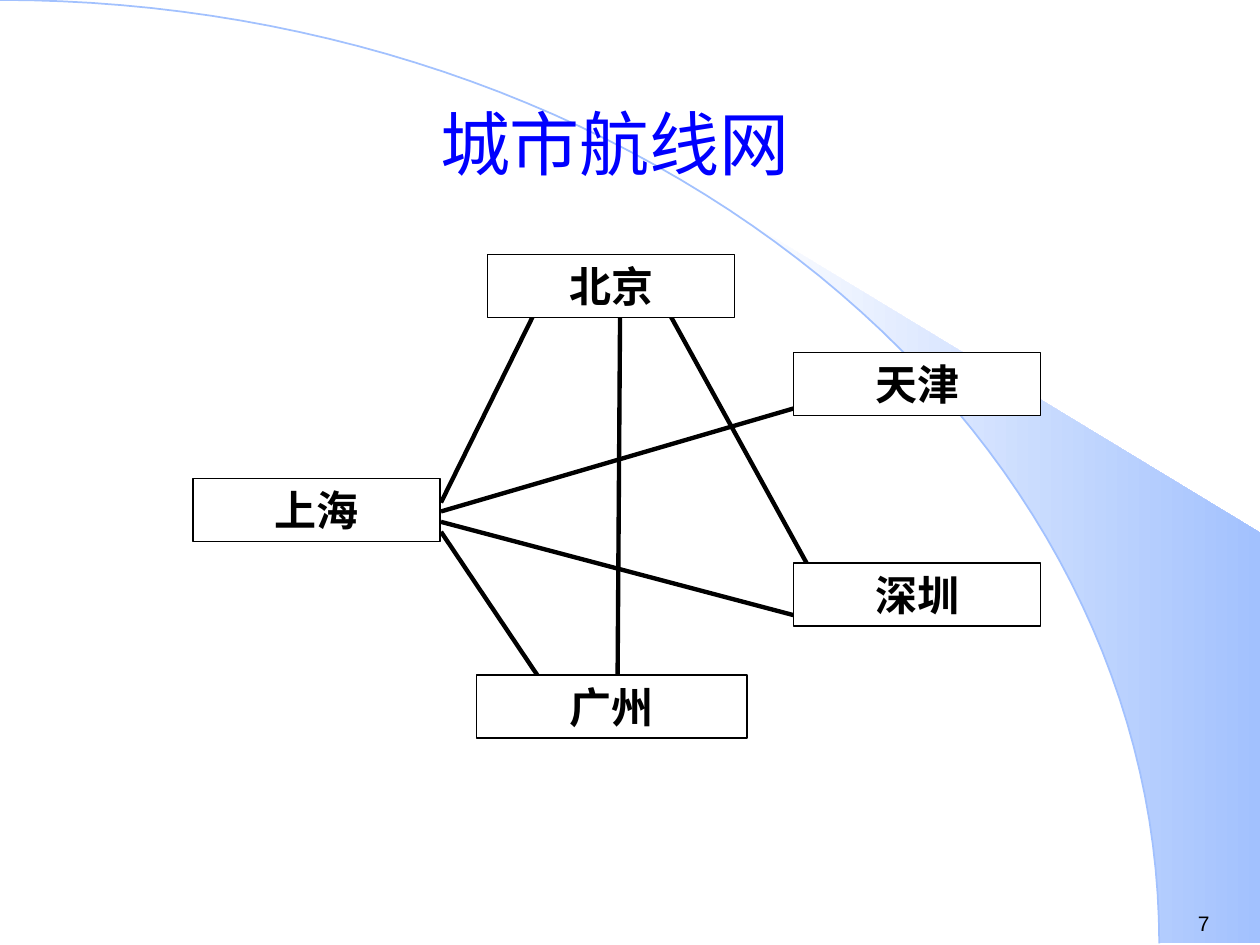
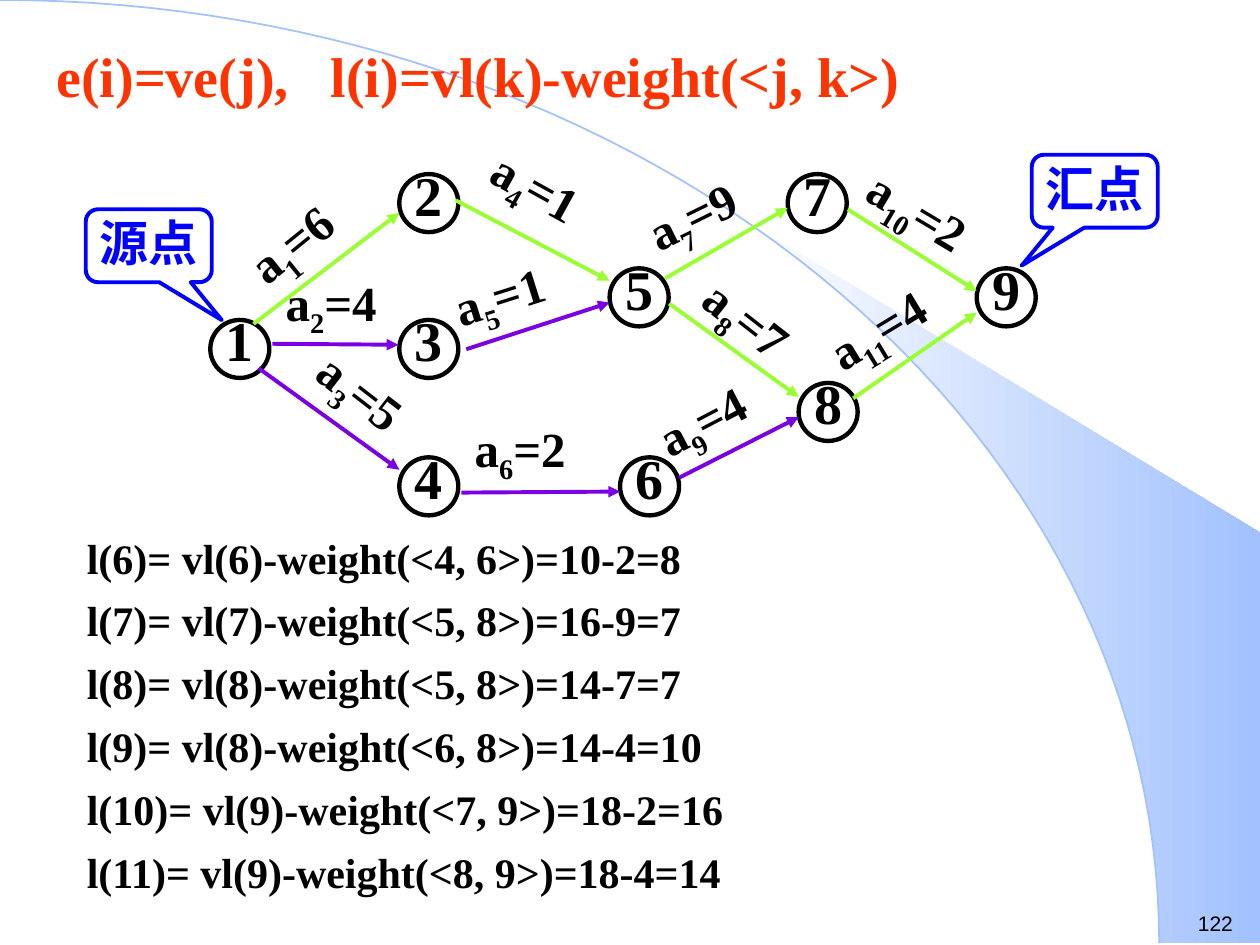
from math import asin, cos, pi, sin

from lxml import etree
from pptx import Presentation
from pptx.dml.color import RGBColor
from pptx.enum.shapes import MSO_CONNECTOR, MSO_SHAPE
from pptx.enum.text import MSO_ANCHOR, PP_ALIGN
from pptx.oxml.ns import qn
from pptx.util import Cm, Pt

COLORS = {
    "white": "FFFFFF", "black": "000000", "blue": "0000FF", "red": "FF3300",
    "sky": "A2C1FE", "purple": "7B00E4", "green": "99FF33",
}
SERIF, SANS = "Times New Roman", "Arial"
WIDTH, HEIGHT = 25.4, 19.05
ARC_RX, ARC_RY = 23.37, 19.02


def rgb(name):
    return RGBColor.from_string(COLORS[name])


def arc_points(start, steps=60):
    """Points of the quarter ellipse from angle start to the bottom edge."""
    angles = [start + (pi / 2 - start) * i / steps for i in range(steps + 1)]
    return [(ARC_RX * sin(a), ARC_RY * (1 - cos(a))) for a in angles]


class Deck:
    def __init__(self):
        self.prs = Presentation()
        self.prs.slide_width, self.prs.slide_height = Cm(WIDTH), Cm(HEIGHT)
        self.s = None

    def new_slide(self, number):
        self.s = self.prs.slides.add_slide(self.prs.slide_layouts[6])
        wedge = self.outline(arc_points(asin(0.64)) + [(WIDTH, ARC_RY), (WIDTH, 10.74)], True)
        wedge.fill.gradient()
        wedge.fill.gradient_angle = 0
        for stop, color, pos in zip(wedge.fill.gradient_stops, ("white", "sky"), (0, 1)):
            stop.color.rgb, stop.position = rgb(color), pos
        wedge.line.fill.background()
        self.style(self.outline(arc_points(0), False), "sky", 1)
        self.text(23.9, 18.24, 1.5, 0.76, [number], 12, font=SANS, bold=False)

    def outline(self, points, close):
        (x, y), *rest = [(Cm(x), Cm(y)) for x, y in points]
        builder = self.s.shapes.build_freeform(x, y)
        builder.add_line_segments(rest, close=close)
        sp = builder.convert_to_shape()
        sp.shadow.inherit = False
        return sp

    def style(self, sp, line, width, fill=None):
        sp.shadow.inherit = False
        sp.line.color.rgb, sp.line.width = rgb(line), Pt(width)
        if fill:
            sp.fill.solid()
            sp.fill.fore_color.rgb = rgb(fill)
        else:
            sp.fill.background()

    def format(self, p, size, color, align, font=SERIF, bold=True):
        p.alignment = align
        p.font.name, p.font.size, p.font.bold = font, Pt(size), bold
        p.font.color.rgb = rgb(color)

    def text(self, x, y, w, h, lines, size, color="black", align=PP_ALIGN.LEFT,
             font=SERIF, bold=True, anchor=MSO_ANCHOR.TOP, spacing=None, before=0, tab=None):
        sp = self.s.shapes.add_textbox(Cm(x), Cm(y), Cm(w), Cm(h))
        tf = sp.text_frame
        tf.word_wrap, tf.vertical_anchor = True, anchor
        for i, line in enumerate(lines):
            p = tf.add_paragraph() if i else tf.paragraphs[0]
            p.add_run().text = line
            if spacing:
                p.line_spacing = spacing
            if i and before:
                p.space_before = Pt(before)
            if tab:
                tabs = etree.SubElement(p._p.get_or_add_pPr(), qn("a:tabLst"))
                etree.SubElement(tabs, qn("a:tab"), pos=str(Cm(tab)), algn="l")
            self.format(p, size, color, align, font, bold)

    def box(self, kind, x, y, w, h, label, size, line="black", width=2.5, fill=None,
            anchor=MSO_ANCHOR.MIDDLE, bottom=0):
        """Preset shape with a centred label; bottom is the lower text margin."""
        sp = self.s.shapes.add_shape(kind, Cm(x), Cm(y), Cm(w), Cm(h))
        self.style(sp, line, width, fill)
        tf = sp.text_frame
        tf.margin_left = tf.margin_right = tf.margin_top = 0
        tf.margin_bottom = Cm(bottom)
        tf.word_wrap, tf.vertical_anchor = False, anchor
        p = tf.paragraphs[0]
        p.add_run().text = label
        self.format(p, size, line, PP_ALIGN.CENTER)
        return sp

    def callout(self, x, y, label, tip_x):
        sp = self.box(MSO_SHAPE.ROUNDED_RECTANGULAR_CALLOUT, x, y, 2.54, 1.47, label, 28,
                      "blue", 2.25, anchor=MSO_ANCHOR.TOP)
        sp.adjustments[0], sp.adjustments[1] = tip_x, 1.02

    def line(self, start, end, color="black", width=2.5, arrow=False):
        c = self.s.shapes.add_connector(MSO_CONNECTOR.STRAIGHT, *map(Cm, start + end))
        c.line.color.rgb, c.line.width = rgb(color), Pt(width)
        if arrow:
            etree.SubElement(c.line._get_or_add_ln(), qn("a:tailEnd"), type="triangle")
        etree.SubElement(c._element.spPr, qn("a:effectLst"))

    def weight_label(self, x, y, index, weight, angle):
        sp = self.s.shapes.add_textbox(Cm(x), Cm(y), Cm(3.61), Cm(1.6))
        sp.rotation = angle
        sp.text_frame.word_wrap = True
        p = sp.text_frame.paragraphs[0]
        for part in ("a", str(index), f"={weight}"):
            r = p.add_run()
            r.text = part
            if part == str(index):
                r._r.get_or_add_rPr().set("baseline", "-25000")
        self.format(p, 28, "black", PP_ALIGN.LEFT)


def air_routes(deck):
    deck.new_slide("7")
    deck.text(2.11, 1.93, 20.57, 1.9, ["城市航线网"], 40, "blue", PP_ALIGN.CENTER,
              bold=False, anchor=MSO_ANCHOR.MIDDLE)
    routes = [
        ((10.77, 6.32), (8.89, 10.13)), ((8.89, 10.72), (11.02, 13.89)),
        ((12.5, 6.32), (12.45, 13.61)), ((8.89, 10.31), (16.97, 7.95)),
        ((8.89, 10.52), (16.26, 12.47)), ((13.49, 6.32), (16.26, 11.35)),
    ]
    for start, end in routes:
        deck.line(start, end)
    cities = [
        ("天津", 16, 7.11, 4.98), ("北京", 9.83, 5.13, 4.98), ("上海", 3.89, 9.65, 4.98),
        ("广州", 9.6, 13.61, 5.46), ("深圳", 16, 11.35, 4.98),
    ]
    for city, x, y, w in cities:
        deck.box(MSO_SHAPE.RECTANGLE, x, y, w, 1.27, city, 24, width=0.75, fill="white")


def latest_start(deck):
    deck.new_slide("122")
    deck.text(1.5, 10.5, 15.19, 7.49, [
        "l(6)= vl(6)-weight(<4, 6>)=10-2=8",
        "l(7)= vl(7)-weight(<5, 8>)=16-9=7",
        "l(8)= vl(8)-weight(<5, 8>)=14-7=7",
        "l(9)= vl(8)-weight(<6, 8>)=14-4=10",
        "l(10)= vl(9)-weight(<7, 9>)=18-2=16",
        "l(11)= vl(9)-weight(<8, 9>)=18-4=14",
    ], 24, spacing=1.1, before=4.25)
    deck.text(0.89, 0.71, 18.39, 1.63, ["e(i)=ve(j),\tl(i)=vl(k)-weight(<j, k>)"],
              32, "red", tab=5.53)
    events = [
        (4.24, 6.45), (8.05, 3.51), (8.05, 6.45), (8.05, 9.22), (12.29, 5.41),
        (12.5, 9.22), (15.88, 3.51), (16.1, 7.72), (19.69, 5.41),
    ]
    for number, (x, y) in enumerate(events, 1):
        deck.box(MSO_SHAPE.OVAL, x, y, 1.19, 1.17, str(number), 32, bottom=0.38)
    # weight, arrow start, arrow end, colour, label position, label angle
    activities = [
        (6, (5.11, 6.53), (8.05, 4.29), "green", (4.6, 3.76), 320.9),
        (4, (5.49, 6.93), (8.03, 6.95), "purple", (5.51, 5.36), 0),
        (5, (5.21, 7.42), (8.05, 9.47), "purple", (5.94, 7.54), 37.7),
        (1, (9.19, 4.04), (12.29, 5.66), "green", (9.53, 3.33), 28.9),
        (1, (9.4, 7.04), (12.29, 6.1), "purple", (8.89, 5.03), 342.4),
        (2, (9.3, 9.93), (12.5, 9.91), "purple", (9.32, 8.31), 0),
        (9, (13.41, 5.61), (15.88, 4.19), "green", (12.75, 3.33), 333.8),
        (7, (13.49, 6.12), (16.1, 8), "green", (13.72, 6.07), 38),
        (4, (13.69, 9.63), (16.1, 8.41), "purple", (12.95, 7.44), 332.4),
        (2, (17.09, 4.22), (19.69, 5.87), "green", (17.09, 3.76), 30.9),
        (4, (17.2, 8.03), (19.69, 6.3), "green", (16.36, 5.64), 328.8),
    ]
    for index, (weight, start, end, color, at, angle) in enumerate(activities, 1):
        deck.line(start, end, color, 2.25, arrow=True)
        deck.weight_label(*at, index, weight, angle)
    deck.callout(20.8, 3.12, "汇点", -0.58)
    deck.callout(1.73, 4.22, "源点", 0.58)


def main():
    deck = Deck()
    air_routes(deck)
    latest_start(deck)
    deck.prs.save("out.pptx")


if __name__ == "__main__":
    main()
